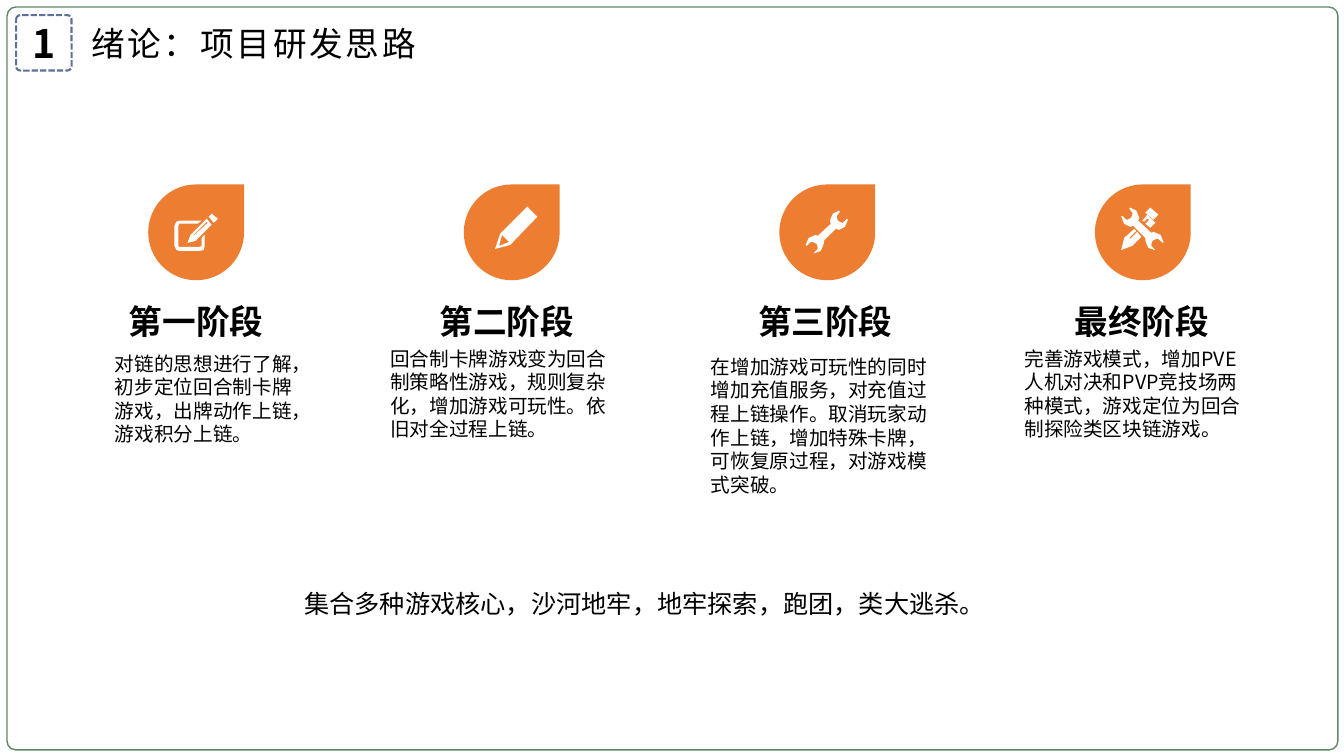
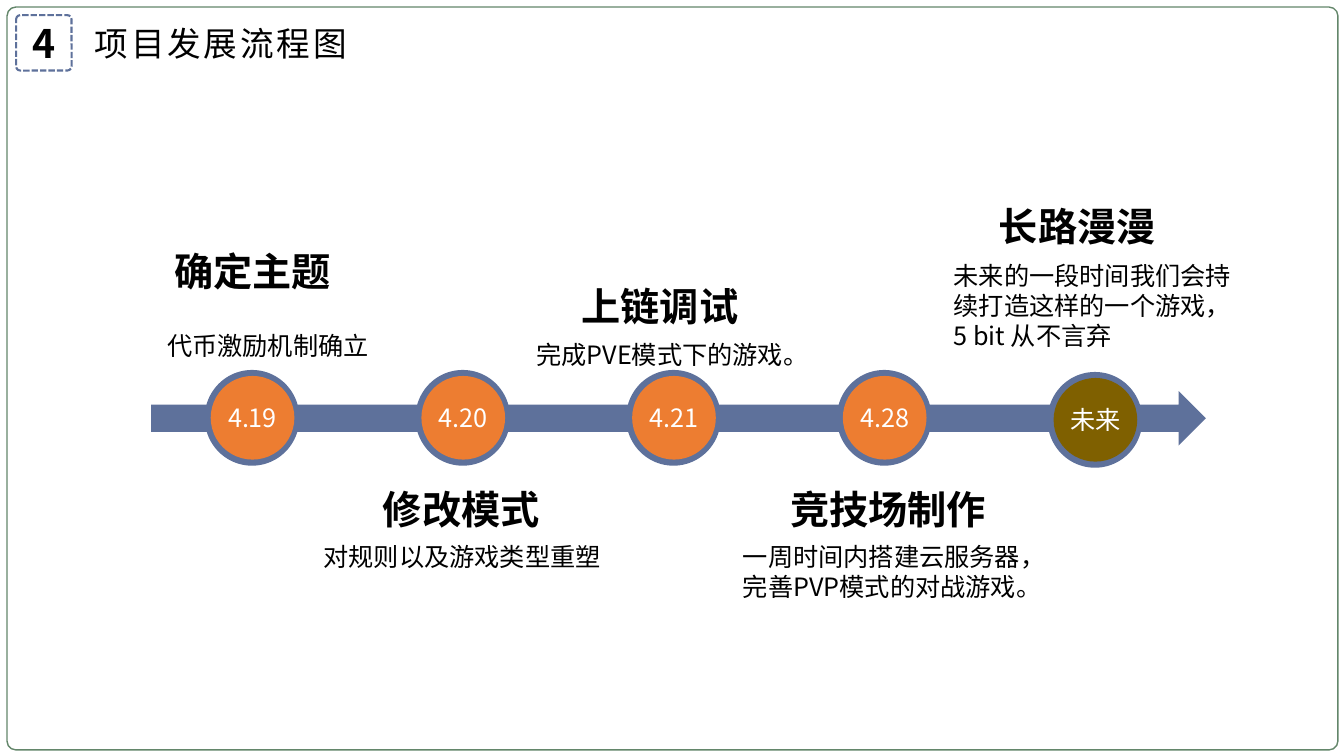
"""Builds two slides: the development stages and the project timeline."""
from pptx import Presentation
from pptx.dml.color import RGBColor
from pptx.enum import dml, shapes, text
from pptx.oxml import ns
from pptx.util import Pt
from lxml import etree

PX = 9144
FONT = "Noto Sans CJK SC"
BLACK, WHITE = "000000", "FFFFFF"
GREEN, BLUE, ORANGE, OLIVE = "63866A", "5E719B", "ED7D31", "7F6000"
SHAPE = shapes.MSO_SHAPE
CENTER, LEFT = text.PP_ALIGN.CENTER, text.PP_ALIGN.LEFT
MIDDLE, TOP = text.MSO_ANCHOR.MIDDLE, text.MSO_ANCHOR.TOP

DROP = 95
WRENCH = [(67, 34), (63, 38), (62, 38), (58, 36), (57, 33), (57, 31), (60, 27),
          (59, 26), (53, 29), (50, 36), (51, 39), (38, 51), (36, 50), (29, 53),
          (26, 60), (27, 61), (31, 57), (33, 57), (37, 59), (38, 62), (38, 64),
          (34, 68), (35, 68), (41, 66), (44, 59), (44, 56), (56, 44), (59, 45),
          (65, 42), (68, 35)]
MIRRORED_WRENCH = [(94 - x, y - 3) for x, y in WRENCH]
NOTE_ICON = [
    [[(53, 61), (51, 62), (31, 62), (30, 61), (30, 41), (31, 39), (49, 39),
      (53, 36), (31, 36), (28, 37), (26, 41), (26, 61), (28, 65), (31, 66),
      (51, 66), (55, 65), (56, 61), (56, 50), (53, 53)]],
    [[(63, 40), (58, 34), (42, 50), (39, 58), (47, 56)],
     [(45, 51), (45, 50), (58, 37), (59, 38)]],
    [[(60, 32), (65, 38), (69, 34), (63, 29)]]]
PENCIL_ICON = [[[(73, 32), (63, 22), (36, 49), (31, 64), (46, 60)],
                [(35, 61), (38, 50), (45, 57)]]]
WRENCH_ICON = [[WRENCH]]
TOOLS_ICON = [
    [[(42, 47), (35, 54), (34, 53), (41, 46), (39, 44), (29, 53), (26, 65),
      (37, 61), (46, 52)]],
    [[(49, 37), (52, 34), (54, 35), (50, 39), (55, 43), (60, 38), (52, 30),
      (47, 36)]],
    [[(55, 23), (50, 28), (58, 35), (63, 30)]],
    [MIRRORED_WRENCH]]

STAGES = [
    (NOTE_ICON, "第一阶段", -27,
     "对链的思想进行了解，初步定位回合制卡牌游戏，出牌动作上链，游戏积分上链。",
     (-33, 166, 180, 94)),
    (PENCIL_ICON, "第二阶段", -32,
     "回合制卡牌游戏变为回合制策略性游戏，规则复杂化，增加游戏可玩性。依旧对全过程上链。",
     (-73, 161, 229, 94)),
    (WRENCH_ICON, "第三阶段", -29,
     "在增加游戏可玩性的同时增加充值服务，对充值过程上链操作。取消玩家动作上链，"
     "增加特殊卡牌，可恢复原过程，对游戏模式突破。",
     (-68, 169, 229, 141)),
    (TOOLS_ICON, "最终阶段", -28,
     "完善游戏模式，增加PVE人机对决和PVP竞技场两种模式，游戏定位为回合制探险类区块链游戏。",
     (-70, 161, 229, 94)),
]
EVENTS = [
    ("4.19", ORANGE, 0, "确定主题", (-40, -127),
     "代币激励机制确立", (-47, -44, 223, 40)),
    ("4.20", ORANGE, 0, "修改模式", (-42, 110),
     "对规则以及游戏类型重塑", (-101, 165, 296, 40)),
    ("4.21", ORANGE, 0, "上链调试", (-54, -92),
     "完成PVE模式下的游戏。", (-99, -35, 307, 40)),
    ("4.28", ORANGE, 0, "竞技场制作", (-56, 110),
     "一周时间内搭建云服务器，完善PVP模式的对战游戏。", (-103, 165, 310, 71)),
    ("未来", OLIVE, 2, "长路漫漫", (-58, -171),
     "未来的一段时间我们会持续打造这样的一个游戏，5 bit 从不言弃",
     (-103, -114, 297, 101)),
]


def rgb(value):
    """Turn a hex string into a colour."""
    return RGBColor.from_string(value)


def emu(*lengths):
    """Scale lengths in px to EMU."""
    return [length * PX for length in lengths]


def paint(shape, fill=None, line=None, width=1, dash=None):
    """Set fill and line, and drop the shadow."""
    shape.shadow.inherit = False
    if fill:
        shape.fill.solid()
        shape.fill.fore_color.rgb = rgb(fill)
    else:
        shape.fill.background()
    if line:
        shape.line.color.rgb = rgb(line)
        shape.line.width = Pt(width)
        if dash:
            shape.line.dash_style = dash
    else:
        shape.line.fill.background()
    return shape


def write(shape, words, size=18, color=BLACK, bold=False, align=LEFT,
          anchor=TOP, inset=(10, 5), wrap=True, spacing=0):
    """Put one formatted paragraph into a shape."""
    frame = shape.text_frame
    frame.word_wrap = wrap
    frame.auto_size = text.MSO_AUTO_SIZE.NONE
    frame.vertical_anchor = anchor
    frame.margin_left = frame.margin_right = inset[0] * PX
    frame.margin_top = frame.margin_bottom = inset[1] * PX
    paragraph = frame.paragraphs[0]
    paragraph.alignment = align
    run = paragraph.add_run()
    run.text = words
    run.font.size, run.font.bold = Pt(size), bold
    run.font.color.rgb = rgb(color)
    run.font.name = FONT
    properties = run.font._element
    etree.SubElement(properties, ns.qn("a:ea")).set("typeface", FONT)
    if spacing:
        properties.set("spc", str(spacing * 100))


def preset(slide, kind, box, corner=None, **look):
    """Add a painted preset shape."""
    shape = slide.shapes.add_shape(kind, *emu(*box))
    if corner is not None:
        shape.adjustments[0] = corner
    return paint(shape, **look)


def label(slide, box, words, **style):
    """Add a text box."""
    write(slide.shapes.add_textbox(*emu(*box)), words, **style)


def outline(slide, left, top, contours):
    """Add a white closed outline, with any holes, measured from left and top."""
    builder = None
    for first, *rest in contours:
        if builder is None:
            builder = slide.shapes.build_freeform(*first, scale=PX)
        else:
            builder.move_to(*first)
        builder.add_line_segments(rest, close=True)
    paint(builder.convert_to_shape(*emu(left, top)), fill=WHITE)


def framed_slide(deck, number, heading, title_box):
    """Add a slide with its border, number badge and title."""
    slide = deck.slides.add_slide(deck.slide_layouts[5])
    preset(slide, SHAPE.ROUNDED_RECTANGLE, (7, 7, 1320, 737), corner=0.012,
           line=GREEN)
    badge = preset(slide, SHAPE.ROUNDED_RECTANGLE, (16, 15, 55, 55),
                   corner=0.076, line=BLUE, width=1.5,
                   dash=dml.MSO_LINE.SQUARE_DOT)
    write(badge, number, size=28, bold=True, align=CENTER, anchor=MIDDLE,
          inset=(0, 0))
    title = slide.shapes.title
    title.left, title.top, title.width, title.height = emu(*title_box)
    write(title, heading, size=24, align=CENTER, anchor=MIDDLE, spacing=2)
    return slide


def stage(slide, left, top, icon, name, name_shift, detail, detail_box):
    """Place a drop with its icon, name and detail."""
    preset(slide, SHAPE.TEAR, (left, top, DROP, DROP), fill=ORANGE)
    for contours in icon:
        outline(slide, left, top, contours)
    label(slide, (left + name_shift, top + 116, 149, 40), name, size=24,
          bold=True, align=CENTER, inset=(0, 0))
    x, y, width, height = detail_box
    label(slide, (left + x, top + y, width, height), detail, size=14,
          inset=(0, 0))


def milestone(slide, left, top, date, color, drop, name, name_at, detail,
              detail_box):
    """Place a dated ring with its name and detail."""
    preset(slide, SHAPE.OVAL, (left, top + drop, 94, 95), fill=BLUE)
    disc = preset(slide, SHAPE.OVAL, (left + 6, top + drop + 6, 83, 83),
                  fill=color)
    write(disc, date, color=WHITE, align=CENTER, anchor=MIDDLE, inset=(0, 0))
    label(slide, (left + name_at[0], top + name_at[1], 20 + 39 * len(name), 57),
          name, size=28, bold=True, wrap=False)
    x, y, width, height = detail_box
    label(slide, (left + x, top + y, width, height), detail)


def stages_slide(deck):
    """Build the slide of four stages."""
    slide = framed_slide(deck, "1", "绪论：项目研发思路", (72, 15, 359, 55))
    for index, parts in enumerate(STAGES):
        stage(slide, 147 + 313 * index, 183, *parts)
    label(slide, (292, 579, 832, 40),
          "集合多种游戏核心，沙河地牢，地牢探索，跑团，类大逃杀。")


def timeline_slide(deck):
    """Build the slide of dated milestones along an arrow."""
    slide = framed_slide(deck, "4", "项目发展流程图", (59, 15, 320, 55))
    preset(slide, SHAPE.RIGHT_ARROW, (150, 388, 1046, 54), fill=BLUE)
    for index, parts in enumerate(EVENTS):
        milestone(slide, 203 + 209 * index, 367, *parts)


def main():
    """Build and save the deck."""
    deck = Presentation()
    deck.slide_width, deck.slide_height = emu(1333, 750)
    stages_slide(deck)
    timeline_slide(deck)
    deck.save("out.pptx")


if __name__ == "__main__":
    main()
